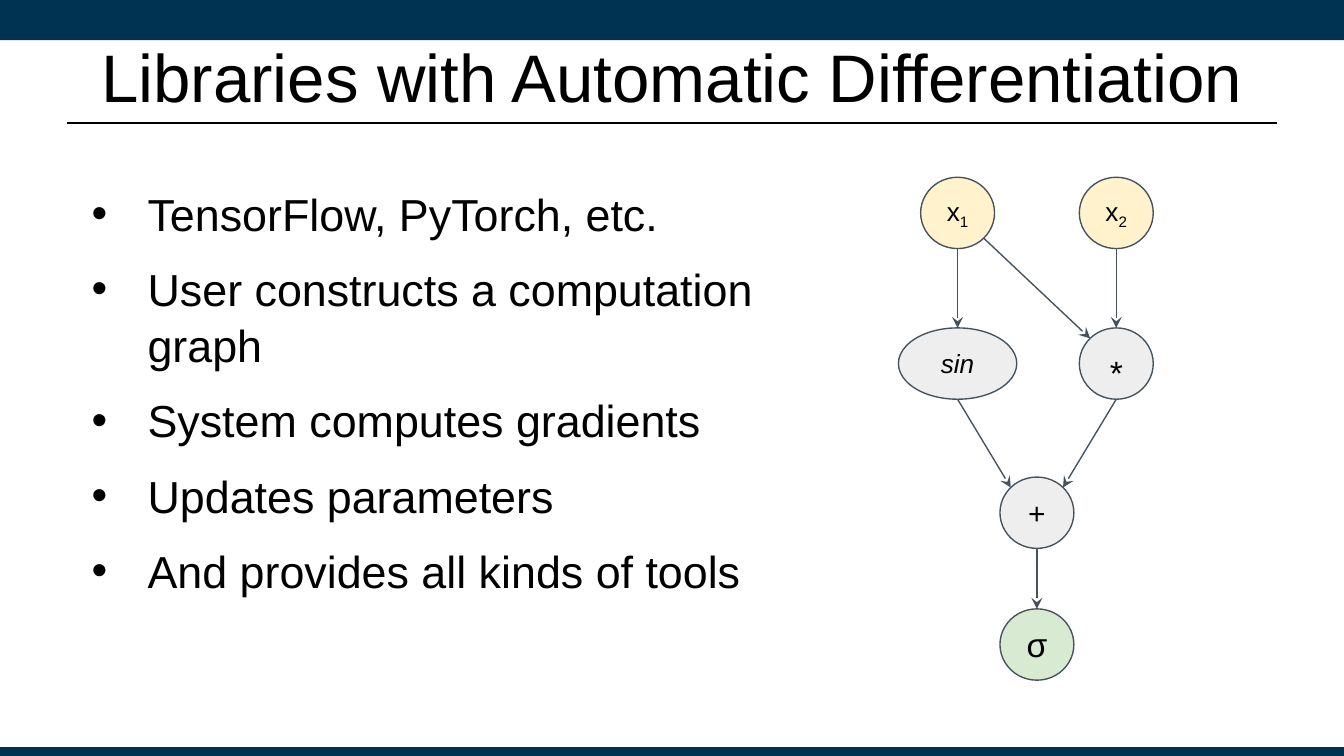
from math import sqrt

from lxml.etree import SubElement
from pptx import Presentation
from pptx.dml.color import RGBColor
from pptx.enum.shapes import MSO_CONNECTOR, MSO_SHAPE
from pptx.enum.text import MSO_ANCHOR, PP_ALIGN
from pptx.oxml.ns import qn
from pptx.util import Pt

NAVY = RGBColor(0x00, 0x32, 0x52)
BLACK = RGBColor(0x00, 0x00, 0x00)
SLATE = RGBColor(0x46, 0x53, 0x5E)
YELLOW = RGBColor(0xFF, 0xF2, 0xCC)
GRAY = RGBColor(0xEE, 0xEE, 0xEE)
GREEN = RGBColor(0xD9, 0xEA, 0xD3)
FONT = "Arial"

# Content
TITLE = "Libraries with Automatic Differentiation"
BULLETS = [
    "TensorFlow, PyTorch, etc.",
    "User constructs a computation graph",
    "System computes gradients",
    "Updates parameters",
    "And provides all kinds of tools",
]
BARS = [(0, 21.6), (400.3, 4.7)]  # top, height

# Graph grid: column centres and row centres
LEFT, MIDDLE, RIGHT = 513, 555.5, 598
ROWS = [114.1, 194.8, 274.7, 345.3]
NODE_W, NODE_H, WIDE_W = 39.6, 38.2, 63.4

# name: (text, subscript, size, centre x, row, width, fill)
NODES = {
    "x1": ("x", "1", 14, LEFT, 0, NODE_W, YELLOW),
    "x2": ("x", "2", 14, RIGHT, 0, NODE_W, YELLOW),
    "sin": ("sin", "", 14, LEFT, 1, WIDE_W, GRAY),
    "times": ("*", "", 18, RIGHT, 1, NODE_W, GRAY),
    "plus": ("+", "", 16, MIDDLE, 2, NODE_W, GRAY),
    "sigma": ("σ", "", 18, MIDDLE, 3, NODE_W, GREEN),
}

# Directions from a node's centre to its rim
D = 1 / sqrt(2)
TOP, BOTTOM = (0, -1), (0, 1)
TOP_LEFT, TOP_RIGHT, BOTTOM_RIGHT = (-D, -D), (D, -D), (D, D)
EDGES = [
    ("x1", BOTTOM, "sin", TOP),
    ("x1", BOTTOM_RIGHT, "times", TOP_LEFT),
    ("x2", BOTTOM, "times", TOP),
    ("sin", BOTTOM, "plus", TOP_LEFT),
    ("times", BOTTOM, "plus", TOP_RIGHT),
    ("plus", BOTTOM, "sigma", TOP),
]


def style(font, size):
    font.name, font.size = FONT, Pt(size)
    font.color.rgb = BLACK


def add_line(s, start, end, color, width, arrow=False):
    points = [Pt(v) for v in (*start, *end)]
    line = s.shapes.add_connector(MSO_CONNECTOR.STRAIGHT, *points)
    line.line.color.rgb, line.line.width = color, Pt(width)
    if arrow:
        SubElement(line.line._get_or_add_ln(), qn("a:tailEnd"), type="stealth")
    SubElement(line._element.spPr, qn("a:effectLst"))


def add_text(s, left, top, width, height):
    tf = s.shapes.add_textbox(Pt(left), Pt(top), Pt(width), Pt(height)).text_frame
    tf.word_wrap = True
    return tf


def add_node(s, text, subscript, size, x, row, width, fill):
    sp = s.shapes.add_shape(MSO_SHAPE.OVAL, Pt(x - width / 2),
                            Pt(ROWS[row] - NODE_H / 2), Pt(width), Pt(NODE_H))
    sp.shadow.inherit = False
    sp.fill.solid()
    sp.fill.fore_color.rgb = fill
    sp.line.color.rgb, sp.line.width = SLATE, Pt(0.75)
    tf = sp.text_frame
    tf.margin_left = tf.margin_right = tf.margin_top = tf.margin_bottom = Pt(7.2)
    tf.vertical_anchor = MSO_ANCHOR.TOP if text == "*" else MSO_ANCHOR.MIDDLE
    p = tf.paragraphs[0]
    p.alignment = PP_ALIGN.CENTER
    for part in filter(None, (text, subscript)):
        r = p.add_run()
        r.text = part
        style(r.font, size)
        if part == "sin":
            r.font.italic = True
        if part == subscript:
            r._r.get_or_add_rPr().set("baseline", "-25000")


def rim(name, direction):
    _, _, _, x, row, width, _ = NODES[name]
    dx, dy = direction
    return x + dx * width / 2, ROWS[row] + dy * NODE_H / 2


prs = Presentation()
prs.slide_width, prs.slide_height = Pt(720), Pt(405)
s = prs.slides.add_slide(prs.slide_layouts[6])

# Bars and title rule
for top, height in BARS:
    bar = s.shapes.add_shape(MSO_SHAPE.RECTANGLE, 0, Pt(top), Pt(720), Pt(height))
    bar.shadow.inherit = False
    bar.fill.solid()
    bar.fill.fore_color.rgb = NAVY
    bar.line.fill.background()
add_line(s, (36, 66), (684, 66), BLACK, 1.25)

# Title
tf = add_text(s, 36, 18, 648, 45.4)
tf.vertical_anchor = MSO_ANCHOR.MIDDLE
tf.text = TITLE
p = tf.paragraphs[0]
p.alignment = PP_ALIGN.CENTER
style(p.runs[0].font, 36)

# Bullet list
tf = add_text(s, 36, 95, 376.6, 222.5)
for i, bullet in enumerate(BULLETS):
    p = tf.paragraphs[0] if i == 0 else tf.add_paragraph()
    p.text = bullet
    p.line_spacing = 1.05
    if i:
        p.space_before = Pt(10)
    pPr = p._p.get_or_add_pPr()
    pPr.set("marL", str(Pt(36)))
    pPr.set("indent", str(-Pt(30)))
    SubElement(pPr, qn("a:buFont"), typeface=FONT)
    SubElement(pPr, qn("a:buChar"), char="•")
    style(p.runs[0].font, 24)

# Computation graph
for node in NODES.values():
    add_node(s, *node)
for source, leave, target, enter in EDGES:
    add_line(s, rim(source, leave), rim(target, enter), SLATE, 0.75, arrow=True)

prs.save("out.pptx")
